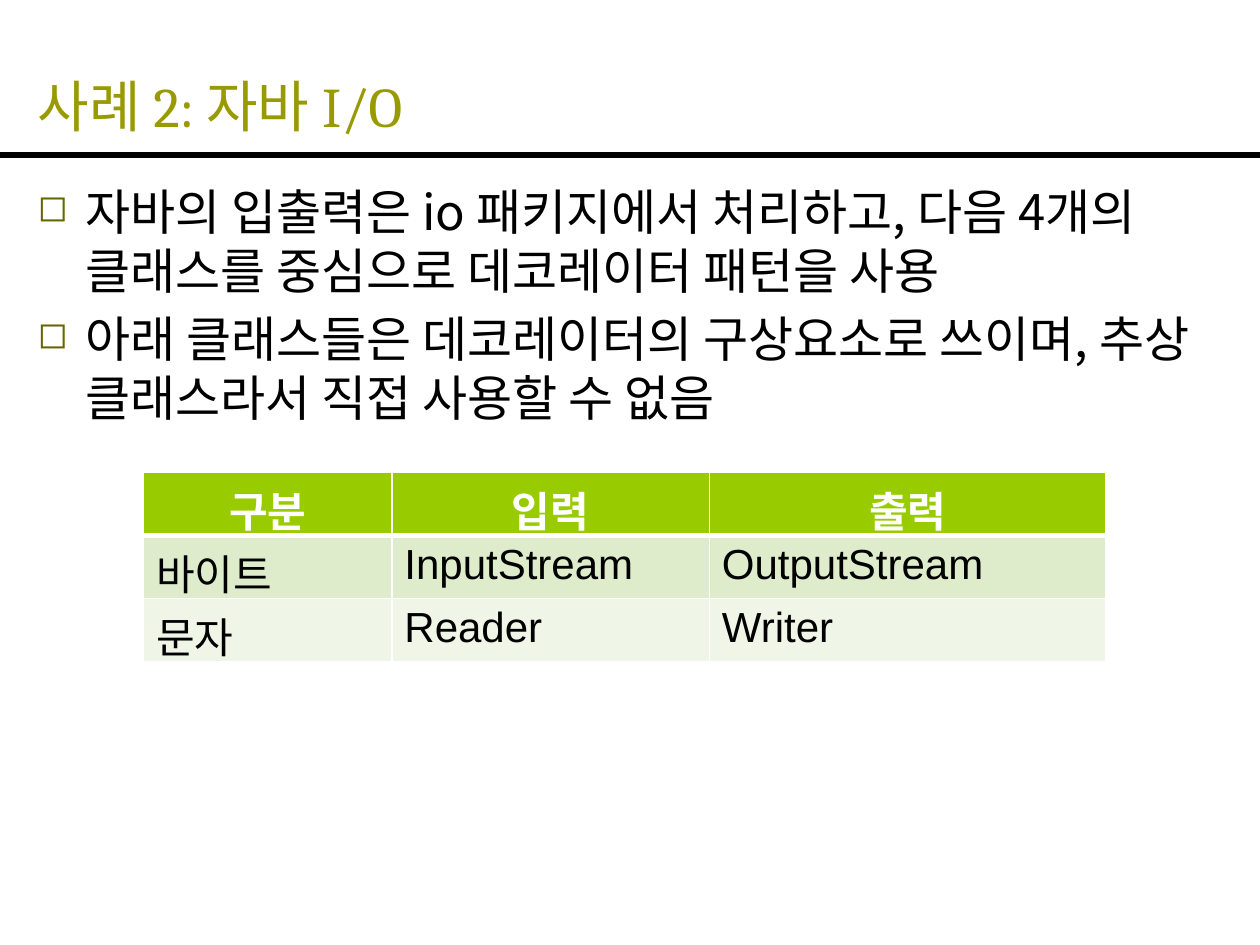
"""Build the slide on Java I/O and the decorator pattern."""
import pptx
import pptx.util
import pptx.dml.color
import pptx.enum.text
import pptx.oxml
import pptx.oxml.ns

TITLE = "사례 2: 자바 I/O"
POINTS = [
    "자바의 입출력은 io 패키지에서 처리하고, 다음 4개의 클래스를 중심으로 데코레이터 패턴을 사용",
    "아래 클래스들은 데코레이터의 구상요소로 쓰이며, 추상 클래스라서 직접 사용할 수 없음",
]
ROWS = [
    ("구분", "입력", "출력"),
    ("바이트", "InputStream", "OutputStream"),
    ("문자", "Reader", "Writer"),
]
COLS = (1.97, 2.52, 3.15)
SIZE = (10, 7.5)
EDGE = 0.2
THEME = {
    "title": {"size": 32, "name": "Cambria", "color": "999900"},
    "point": {"size": 28, "name": "Noto Sans CJK KR", "color": "000000"},
    "head": {"size": 24, "name": "Times New Roman", "color": "FFFFFF", "bold": True},
    "cell": {"size": 24, "name": "Arial", "color": "000000", "bold": False},
    "asian": "Noto Sans CJK KR",
    "fills": ("99CC00", "DEECCC", "EFF6E7"),
    "rule": "000000",
    "grid": "FFFFFF",
    "mark": "666600",
}

inch = pptx.util.Inches
point = pptx.util.Pt
rgb = pptx.dml.color.RGBColor.from_string
NS = pptx.oxml.ns.nsdecls("a")


def node(text):
    tag, rest = text[1:].split(" ", 1) if " " in text.split(">")[0] else (text[1:].split(">")[0], text[text.index(">"):])
    return pptx.oxml.parse_xml(f"<{tag} {NS} {rest}")


def write(para, text, style):
    run = para.add_run()
    run.text = text
    for key, value in THEME[style].items():
        if key == "color":
            run.font.color.rgb = rgb(value)
        else:
            setattr(run.font, key, point(value) if key == "size" else value)
    run.font._element.append(node(f'<a:ea typeface="{THEME["asian"]}"/>'))


def add_box(slide, top, high, anchor):
    box = slide.shapes.add_textbox(*map(inch, (EDGE, top, SIZE[0] - 2 * EDGE, high)))
    frame = box.text_frame
    for key, value in {"word_wrap": True, "vertical_anchor": anchor}.items():
        setattr(frame, key, value)
    return frame


def add_points(frame):
    for i, text in enumerate(POINTS):
        para = frame.add_paragraph() if i else frame.paragraphs[0]
        write(para, text, "point")
        props = para._p.get_or_add_pPr()
        for key, value in {"marL": 0.38, "indent": -0.38}.items():
            props.set(key, str(inch(value)))
        for part in (
            '<a:spcBef><a:spcPct val="20000"/></a:spcBef>',
            f'<a:buClr><a:srgbClr val="{THEME["mark"]}"/></a:buClr>',
            '<a:buSzPct val="75000"/>',
            '<a:buChar char="◻"/>',
        ):
            props.append(node(part))


def add_grid(slide):
    spot = (1.14, 3.75, sum(COLS), 1.5)
    table = slide.shapes.add_table(len(ROWS), len(COLS), *map(inch, spot)).table
    for col, wide in zip(table.columns, COLS):
        col.width = inch(wide)
    for i, row in enumerate(ROWS):
        for j, text in enumerate(row):
            cell = table.cell(i, j)
            para = cell.text_frame.paragraphs[0]
            if i == 0:
                para.alignment = pptx.enum.text.PP_ALIGN.CENTER
            write(para, text, "cell" if i else "head")
            props = cell._tc.get_or_add_tcPr()
            thick = {"L": 1, "R": 1, "T": 3 if i == 1 else 1, "B": 1 if i else 3}
            for side, wide in thick.items():
                props.append(node(
                    f'<a:ln{side} w="{point(wide)}"><a:solidFill>'
                    f'<a:srgbClr val="{THEME["grid"]}"/></a:solidFill></a:ln{side}>'))
            cell.fill.solid()
            cell.fill.fore_color.rgb = rgb(THEME["fills"][i])


def add_rule(slide, top):
    line = slide.shapes.add_connector(1, 0, inch(top), inch(SIZE[0]), inch(top))
    line.line.width = point(3)
    line.line.color.rgb = rgb(THEME["rule"])
    line._element.spPr.append(node("<a:effectLst/>".replace("/>", " />")))


def main():
    deck = pptx.Presentation()
    deck.slide_width, deck.slide_height = map(inch, SIZE)
    slide = deck.slides.add_slide(deck.slide_layouts[6])
    anchor = pptx.enum.text.MSO_ANCHOR
    add_rule(slide, 1.23)
    write(add_box(slide, 0.3, 0.85, anchor.BOTTOM).paragraphs[0], TITLE, "title")
    add_points(add_box(slide, 1.39, 5.32, anchor.TOP))
    add_grid(slide)
    deck.save("out.pptx")


main()
